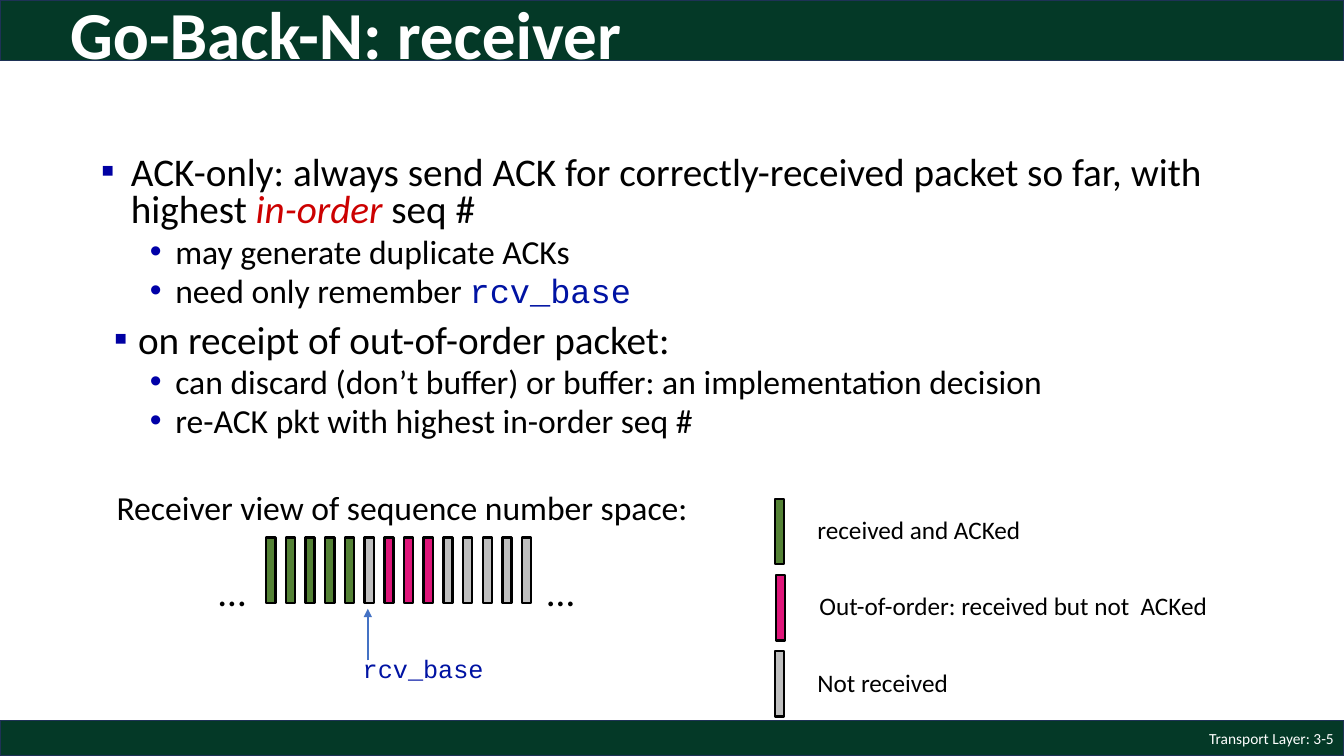
from dataclasses import dataclass

from lxml import etree
from pptx import Presentation
from pptx import util as u
from pptx.dml.color import RGBColor
from pptx.enum import shapes, text
from pptx.oxml import ns


@dataclass(frozen=True)
class Theme:
    band: str = "043927"
    band_edge: str = "1E3256"
    white: str = "FFFFFF"
    ink: str = "000000"
    accent: str = "CC0000"
    code: str = "0013A3"
    square: str = "0000A3"
    dot: str = "0000A8"
    arrow: str = "4472C4"
    acked: str = "548235"
    out_of_order: str = "DF167A"
    missing: str = "BFBFBF"
    body_font: str = "Calibri"
    code_font: str = "Courier New"
    title_size: int = 48
    main_size: int = 28
    sub_size: int = 24
    label_size: int = 18
    footer_size: int = 11
    stroke: float = 1.75


T = Theme()
SLIDE_W, SLIDE_H = 33.87, 19.05
BAR_W, BAR_H = 0.23, 1.65


# Shared helpers; every box is (left, top, width, height) in cm
def cm_box(box):
    return [u.Cm(value) for value in box]


def add_run(paragraph, words, size, color=T.ink, **formats):
    run = paragraph.add_run()
    run.text = words
    run.font.color.rgb = RGBColor.from_string(color)
    for key, value in {"name": T.body_font, "size": u.Pt(size), **formats}.items():
        setattr(run.font, key, value)


def add_frame(slide, box, **formats):
    frame = slide.shapes.add_textbox(*cm_box(box)).text_frame
    for key, value in {"word_wrap": True, **formats}.items():
        setattr(frame, key, value)
    return frame


def add_label(slide, box, words, size, color=T.ink, **formats):
    frame = add_frame(slide, box, word_wrap=False)
    add_run(frame.paragraphs[0], words, size, color, **formats)


def add_block(slide, box, fill, edge, width):
    block = slide.shapes.add_shape(shapes.MSO_SHAPE.RECTANGLE, *cm_box(box))
    block.shadow.inherit = False
    block.fill.solid()
    block.fill.fore_color.rgb = RGBColor.from_string(fill)
    block.line.color.rgb = RGBColor.from_string(edge)
    block.line.width = u.Pt(width)


def add_packet(slide, left, top, fill):
    add_block(slide, (left, top, BAR_W, BAR_H), fill, T.ink, T.stroke)


def set_bullet(paragraph, char, color, margin, hanging):
    props = paragraph._p.get_or_add_pPr()
    props.set("marL", str(u.Cm(margin)))
    props.set("indent", str(-u.Cm(hanging)))
    tint = etree.SubElement(props, ns.qn("a:buClr"))
    etree.SubElement(tint, ns.qn("a:srgbClr"), val=color)
    etree.SubElement(props, ns.qn("a:buFont"), typeface="Arial")
    etree.SubElement(props, ns.qn("a:buChar"), char=char)


# Title band
def draw_header(slide, box):
    left, top, width, height = box
    add_block(slide, box, T.band, T.band_edge, 1)
    frame = add_frame(slide, (left + 1.52, top - 0.3, width - 3.03, height + 0.97),
                      vertical_anchor=text.MSO_ANCHOR.MIDDLE)
    title = frame.paragraphs[0]
    title.line_spacing = 0.9
    add_run(title, "Go-Back-N: receiver", T.title_size, T.white, bold=True)


# Footer band with the page mark
def draw_footer(slide, box):
    left, top, width, height = box
    add_block(slide, box, T.band, T.band_edge, 1)
    mark_w = 7.62
    frame = add_frame(slide, (left + width - mark_w, top, mark_w, height),
                      vertical_anchor=text.MSO_ANCHOR.MIDDLE)
    mark = frame.paragraphs[0]
    mark.alignment = text.PP_ALIGN.RIGHT
    add_run(mark, "Transport Layer: 3-5", T.footer_size, T.white)


# Receiver rules
def draw_rules(slide, box):
    plain = {}
    stressed = {"color": T.accent, "italic": True}
    code = {"color": T.code, "name": T.code_font}
    # level, margin, hanging indent, runs
    rules = [
        (0, 0.81, 0.76, [
            ("ACK-only: always send ACK for correctly-received packet so far, with highest ", plain),
            ("in-order", stressed), (" seq #", plain)]),
        (1, 1.93, 0.64, [("may generate duplicate ACKs", plain)]),
        (1, 1.93, 0.64, [("need only remember ", plain), ("rcv_base", code)]),
        (0, 0.99, 0.61, [("on receipt of out-of-order packet:", plain)]),
        (1, 1.93, 0.64, [
            ("can discard (don’t buffer) or buffer: an implementation decision", plain)]),
        (1, 1.93, 0.64, [("re-ACK pkt with highest in-order seq #", plain)]),
    ]
    # size, space before, bullet, bullet colour
    levels = [(T.main_size, 10, "▪", T.square), (T.sub_size, 5, "•", T.dot)]
    frame = add_frame(slide, box)
    for index, (level, margin, hanging, runs) in enumerate(rules):
        size, before, char, color = levels[level]
        rule = frame.add_paragraph() if index else frame.paragraphs[0]
        for key, value in {"level": level, "line_spacing": 0.8,
                           "space_before": u.Pt(before)}.items():
            setattr(rule, key, value)
        set_bullet(rule, char, color, margin, hanging)
        for words, formats in runs:
            add_run(rule, words, size, **formats)


# Sequence number space with the rcv_base pointer
def draw_sequence(slide, box):
    left, top, width, _ = box
    add_label(slide, (left, top, width, 1.27),
              "Receiver view of sequence number space:", T.sub_size)
    packets = [T.acked] * 5 + [T.missing] + [T.out_of_order] * 3 + [T.missing] * 5
    strip_left, strip_top, strip_span = left + 4.02, top + 1.4, 6.45
    pitch = strip_span / (len(packets) - 1)
    for index, fill in enumerate(packets):
        add_packet(slide, strip_left + index * pitch, strip_top, fill)
    for offset in (2.57, 10.85):
        add_label(slide, (left + offset, top + 2.03, 1.19, 1.45), "…", T.main_size)

    add_label(slide, (left + 6.2, top + 4.19, 3.58, 1.02), "rcv_base",
              T.label_size, T.code, name=T.code_font)
    base_x = u.Cm(left + 6.58)
    pointer = slide.shapes.add_connector(
        shapes.MSO_CONNECTOR.STRAIGHT, base_x, u.Cm(top + 4.5), base_x, u.Cm(top + 3.2))
    pointer.line.color.rgb = RGBColor.from_string(T.arrow)
    pointer.line.width = u.Pt(T.stroke)
    etree.SubElement(pointer.line._get_or_add_ln(), ns.qn("a:tailEnd"), type="triangle")
    etree.SubElement(pointer._element.spPr, ns.qn("a:effectLst"))


# Colour key
def draw_legend(slide, box):
    left, top, width, height = box
    entries = [
        (T.acked, "received and ACKed", 0),
        (T.out_of_order, "Out-of-order: received but not  ACKed", 0.05),
        (T.missing, "Not received", 0),
    ]
    pitch = (height - BAR_H) / (len(entries) - 1)
    for index, (fill, words, shift) in enumerate(entries):
        row_top = top + index * pitch
        add_packet(slide, left + shift / 2, row_top, fill)
        add_label(slide, (left + 0.82 + shift, row_top + 0.27, width - 0.82, 1.02),
                  words, T.label_size)


def main():
    deck = Presentation()
    deck.slide_width, deck.slide_height = u.Cm(SLIDE_W), u.Cm(SLIDE_H)
    slide = deck.slides.add_slide(deck.slide_layouts[6])
    draw_footer(slide, (0, 18.16, SLIDE_W, 0.89))
    draw_rules(slide, (2.24, 3.81, 28.65, 7.92))
    draw_sequence(slide, (2.69, 12.14, 15.06, 5.2))
    draw_legend(slide, (19.53, 12.57, 11.28, 5.49))
    draw_header(slide, (0, 0, SLIDE_W, 1.52))
    deck.save("out.pptx")


if __name__ == "__main__":
    main()
